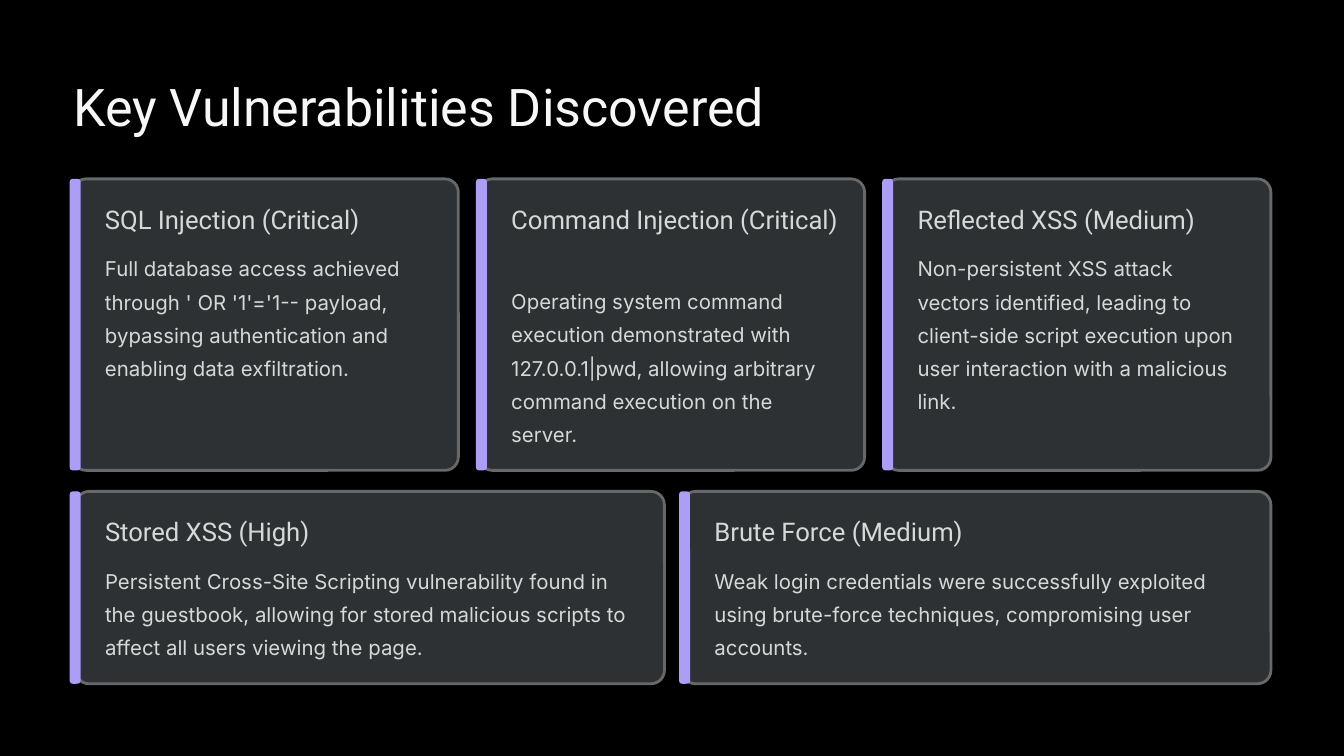
from pptx import Presentation
from pptx.dml.color import RGBColor as Color
from pptx.enum.shapes import MSO_SHAPE as Shape
from pptx.util import Inches, Pt

THEME = {
    "background": "000000", "title": "F7F7F8", "text": "D6D9D7",
    "card": "2D3133", "border": "65696B", "accent": "AC9EF5",
    "heading_font": "Roboto", "body_font": "Inter",
    "title_size": 44.5, "heading_size": 22, "body_size": 17.5,
}

# Grid, in inches
LEFT, RIGHT, GAP = 0.83, 15.13, 0.21
STRIPE, RADIUS, PADDING = 0.13, 0.16, 0.28
CARD_INSET, TEXT_INSET = 0.035, 0.42
HEADING_LINE, BODY_LINE, HEADING_GAP = 0.39, 0.397, 0.15

deck = Presentation()
deck.slide_width, deck.slide_height = Inches(16), Inches(9)
page = deck.slides.add_slide(deck.slide_layouts[6])
page.background.fill.solid()
page.background.fill.fore_color.rgb = Color.from_string(THEME["background"])


def add_text(text, *, at, font, size, leading, color="text", wrap=True):
    box = page.shapes.add_textbox(*map(Inches, at))
    frame = box.text_frame
    frame.word_wrap = wrap
    frame.margin_left = frame.margin_right = 0
    frame.margin_top = frame.margin_bottom = 0
    para = frame.paragraphs[0]
    para.line_spacing = Pt(leading)
    span = para.add_run()
    span.text = text
    span.font.name = THEME[font]
    span.font.size = Pt(THEME[size])
    span.font.color.rgb = Color.from_string(THEME[color])


def add_panel(*, at, radius, fill, border=None):
    panel = page.shapes.add_shape(Shape.ROUNDED_RECTANGLE, *map(Inches, at))
    panel.adjustments[0] = radius / min(at[2:])
    panel.shadow.inherit = False
    panel.fill.solid()
    panel.fill.fore_color.rgb = Color.from_string(THEME[fill])
    if border:
        panel.line.color.rgb = Color.from_string(THEME[border])
        panel.line.width = Pt(2.4)
    else:
        panel.line.fill.background()


# Title
add_text("Key Vulnerabilities Discovered", at=(0.87, 0.86, 8.81, 0.78),
         font="heading_font", size="title_size", leading=55.5,
         color="title", wrap=False)

# Rows: top, height, cards (heading, heading lines, body, body lines, shift)
rows = [
    (2.13, 3.47, [
        ("SQL Injection (Critical)", 1,
         "Full database access achieved through ' OR '1'='1-- payload, "
         "bypassing authentication and enabling data exfiltration.", 4, 0),
        ("Command Injection (Critical)", 2,
         "Operating system command execution demonstrated with "
         "127.0.0.1|pwd, allowing arbitrary command execution on the server.",
         5, 0),
        ("Reflected XSS (Medium)", 1,
         "Non-persistent XSS attack vectors identified, leading to client-side "
         "script execution upon user interaction with a malicious link.", 5, 0),
    ]),
    (5.85, 2.29, [
        ("Stored XSS (High)", 1,
         "Persistent Cross-Site Scripting vulnerability found in the guestbook, "
         "allowing for stored malicious scripts to affect all users viewing "
         "the page.", 3, 0.035),
        ("Brute Force (Medium)", 1,
         "Weak login credentials were successfully exploited using brute-force "
         "techniques, compromising user accounts.", 3, 0),
    ]),
]

# Cards
for top, height, cards in rows:
    pitch = (RIGHT - LEFT + GAP) / len(cards)
    card_width = pitch - GAP - CARD_INSET
    text_width = card_width - 0.66
    for column, (heading, heading_lines, body, body_lines, shift) in enumerate(cards):
        left = LEFT + column * pitch
        add_panel(at=(left + CARD_INSET + shift, top, card_width, height),
                  radius=RADIUS, fill="card", border="border")
        add_panel(at=(left, top, STRIPE, height), radius=0.036, fill="accent")

        text_left, heading_top = left + TEXT_INSET, top + PADDING
        heading_height = heading_lines * HEADING_LINE
        add_text(heading, at=(text_left, heading_top, text_width, heading_height),
                 font="heading_font", size="heading_size", leading=27.5,
                 wrap=heading_lines > 1)
        body_top = heading_top + heading_height + HEADING_GAP
        add_text(body, at=(text_left, body_top, text_width, body_lines * BODY_LINE),
                 font="body_font", size="body_size", leading=28.5)

deck.save("out.pptx")
